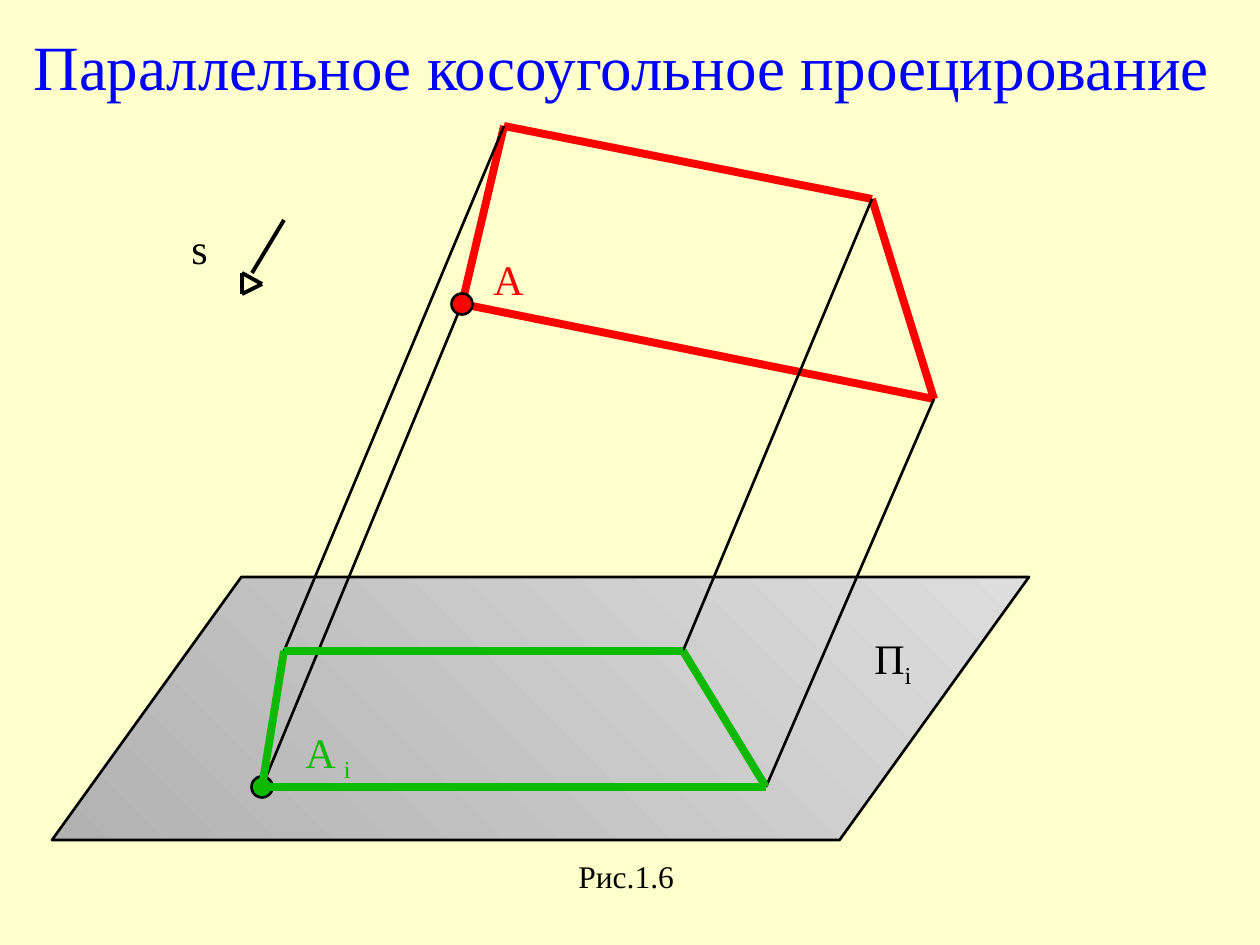
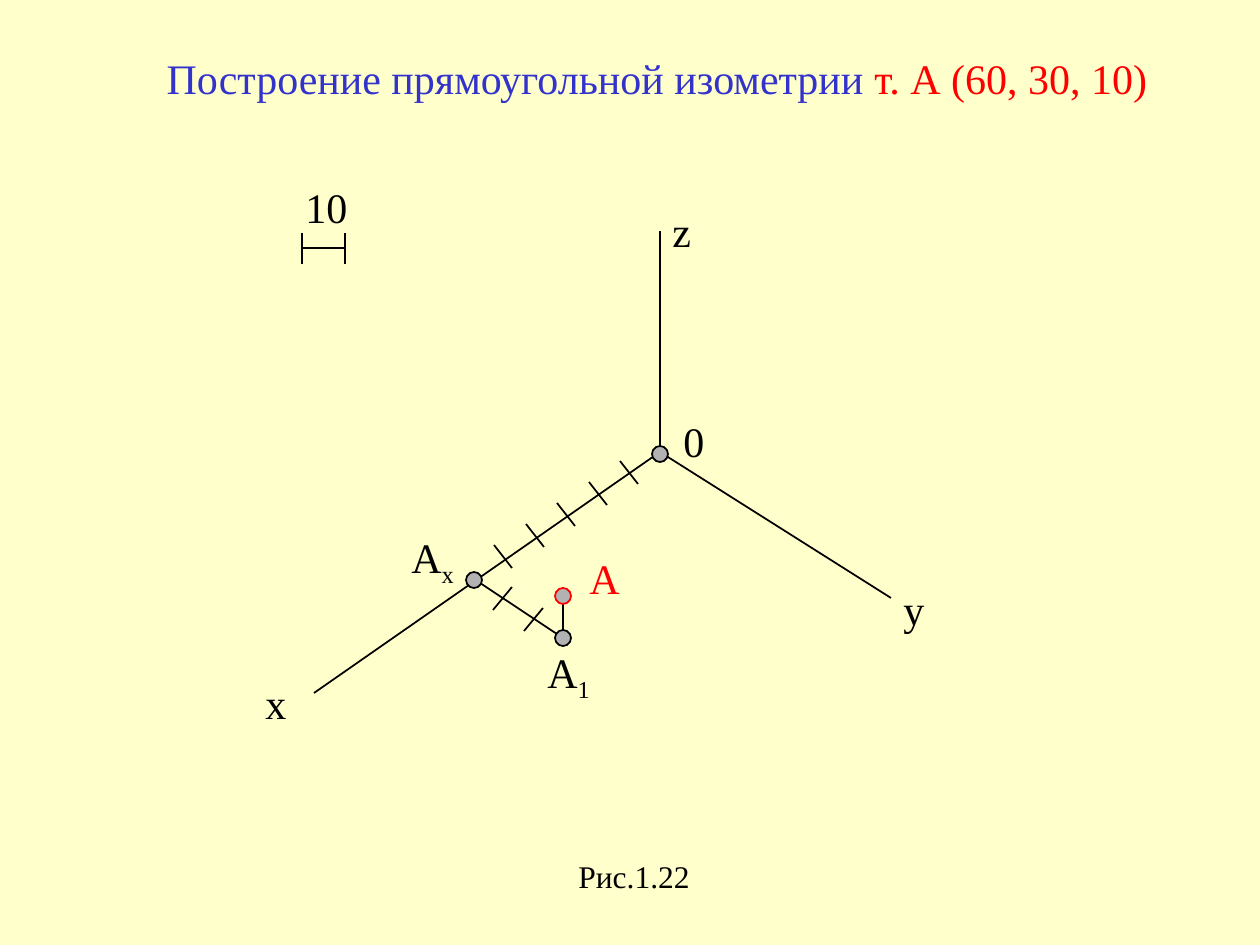
from pptx import Presentation
from pptx.dml.color import RGBColor
from pptx.enum.shapes import MSO_CONNECTOR as Link, MSO_SHAPE as Shape
from pptx.enum.text import MSO_ANCHOR as Anchor, MSO_AUTO_SIZE as Fit, PP_ALIGN as Align
from pptx.util import Emu, Pt
from lxml.etree import SubElement
from pptx.oxml.ns import qn

SCALE = 914400 / 126
FONT = "Times New Roman"
CREAM, BLACK, GREY, PALE = "FFFFCC", "000000", "B2B2B2", "DDDDDD"
RED, GREEN, BLUE, NAVY = "FF0000", "0DBA00", "0000FF", "3333CC"


def px(num):
    """Turn px into EMU."""
    return Emu(round(num * SCALE))


def rgb(code):
    """Turn a hex string into a colour."""
    return RGBColor.from_string(code)


def style(par, size, color):
    """Set the font of a paragraph."""
    font = par.font
    font.name, font.size = FONT, Pt(size)
    font.color.rgb = rgb(color)


def label(slide, x, y, w, h, text, sub="", color=BLACK, size=24):
    """Add a one-line label with an optional subscript."""
    frame = slide.shapes.add_textbox(px(x), px(y), px(w), px(h)).text_frame
    frame.word_wrap = False
    par = frame.paragraphs[0]
    par.add_run().text = text
    if sub:
        run = par.add_run()
        run.text = sub
        run.font._element.set("baseline", "-25000")
    style(par, size, color)


def title(slide, box, size, *parts):
    """Place the title and fill it with coloured parts."""
    head = slide.shapes.title
    head.left, head.top, head.width, head.height = map(px, box)
    frame = head.text_frame
    frame.word_wrap, frame.auto_size = False, Fit.NONE
    frame.vertical_anchor = Anchor.TOP
    par = frame.paragraphs[0]
    par.alignment = Align.LEFT
    for text, color in parts:
        run = par.add_run()
        run.text = text
        run.font.color.rgb = rgb(color)
    style(par, size, parts[0][1])


def line(slide, start, end, color=BLACK, width=1):
    """Draw a straight line between two points."""
    link = slide.shapes.add_connector(Link.STRAIGHT, *map(px, start + end))
    link.line.color.rgb = rgb(color)
    link.line.width = Pt(width)
    SubElement(link._element.spPr, qn("a:effectLst"))


def loop(slide, points, color, width):
    """Join points into a closed outline."""
    for start, end in zip(points, points[1:] + points[:1]):
        line(slide, start, end, color, width)


def solid(slide, kind, x, y, w, h, width):
    """Add a preset shape with a black outline."""
    shape = slide.shapes.add_shape(kind, px(x), px(y), px(w), px(h))
    shape.shadow.inherit = False
    shape.line.color.rgb = rgb(BLACK)
    shape.line.width = Pt(width)
    return shape


def dot(slide, center, size=16, fill=GREY, edge=BLACK, width=1):
    """Mark a point with a round dot."""
    x, y = center
    shape = solid(slide, Shape.OVAL, x - size / 2, y - size / 2, size, size, width)
    shape.fill.solid()
    shape.fill.fore_color.rgb = rgb(fill)
    shape.line.color.rgb = rgb(edge)


def plane(slide):
    """Draw the shaded projection plane."""
    shape = solid(slide, Shape.PARALLELOGRAM, 52, 577, 977, 263, 1.5)
    shape.adjustments[0] = 0.72
    shape.fill.gradient()
    shape.fill.gradient_angle = 45
    for stop, color in zip(shape.fill.gradient_stops, (GREY, PALE)):
        stop.color.rgb = rgb(color)


def caption(slide, text):
    """Add the figure number."""
    label(slide, 566, 851, 150, 50, text, size=18)


def oblique(slide):
    """Build the oblique projection slide."""
    title(slide, (21, 21, 1206, 88), 36,
          ("Параллельное косоугольное проецирование", BLUE))
    plane(slide)
    loop(slide, [(242, 294), (262, 284), (242, 273)], BLACK, 2.25)
    line(slide, (252, 273), (284, 220), BLACK, 2.25)
    label(slide, 179, 216, 42, 113, "s")
    figure = [(504, 126), (872, 199), (934, 399), (462, 304)]
    image = [(284, 651), (683, 651), (766, 787), (262, 787)]
    loop(slide, figure, RED, 4.5)
    for start, end in zip(figure, image):
        line(slide, start, end, BLACK, 1.5)
    dot(slide, image[-1], 21, GREEN, width=1.5)
    loop(slide, image, GREEN, 4.5)
    dot(slide, figure[-1], 21, RED, width=1.5)
    label(slide, 481, 247, 55, 63, "A", color=RED)
    label(slide, 293, 720, 73, 127, "A ", "i", GREEN)
    label(slide, 862, 626, 62, 71, "П", "i")
    caption(slide, "Рис.1.6")


def isometry(slide):
    """Build the isometric axes slide."""
    title(slide, (154, 46, 1011, 63), 24,
          ("Построение прямоугольной изометрии ", NAVY),
          ("т. А (60, 30, 10)", RED))
    for end in (660, 231), (891, 598), (314, 693):
        line(slide, (660, 452), end)
    line(slide, (471, 577), (566, 640))
    line(slide, (563, 640), (563, 598))
    for i in range(5):
        x, y = 620 - 63 * i // 2, 461 + 21 * i
        line(slide, (x, y), (x + 18, y + 23))
    for i in range(2):
        x, y = 512 + 31 * i, 587 + 21 * i
        line(slide, (x, y), (x - 19, y + 23))
    for center in (660, 454), (474, 580), (563, 638):
        dot(slide, center)
    dot(slide, (563, 596), edge=RED)
    line(slide, (302, 248), (345, 248))
    for x in 302, 345:
        line(slide, (x, 233), (x, 264))
    for x, y, text in ((891, 577, "y"), (253, 671, "x"), (671, 409, "0"),
                       (660, 199, "z"), (293, 175, "10")):
        label(slide, x, y, 45 if len(text) == 1 else 67, 63, text)
    label(slide, 577, 546, 55, 63, "A", color=RED)
    label(slide, 535, 640, 68, 71, "A", "1")
    label(slide, 399, 525, 68, 71, "A", "x")
    caption(slide, "Рис.1.22")


def main():
    """Build and save the slides."""
    deck = Presentation()
    deck.slide_width, deck.slide_height = px(1260), px(945)
    back = deck.slide_master.background.fill
    back.solid()
    back.fore_color.rgb = rgb(CREAM)
    for build in oblique, isometry:
        build(deck.slides.add_slide(deck.slide_layouts[5]))
    deck.save("out.pptx")


if __name__ == "__main__":
    main()
